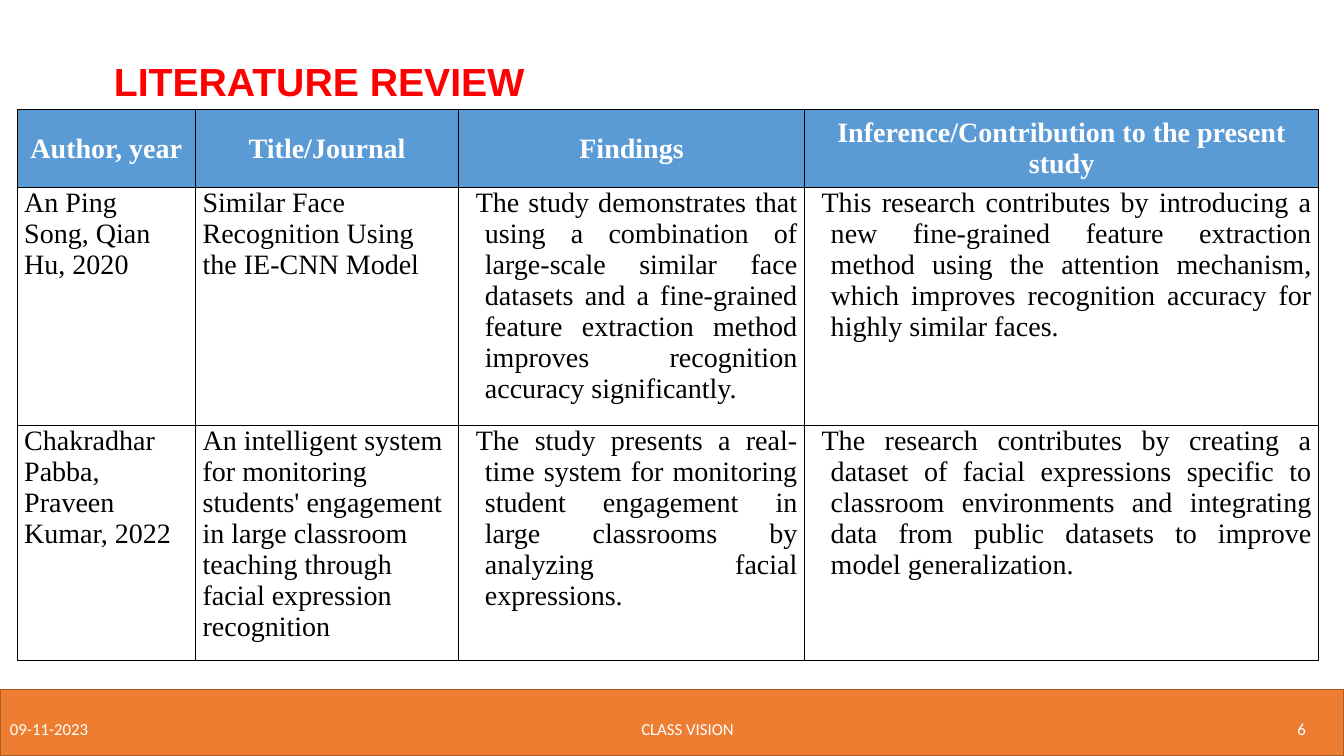
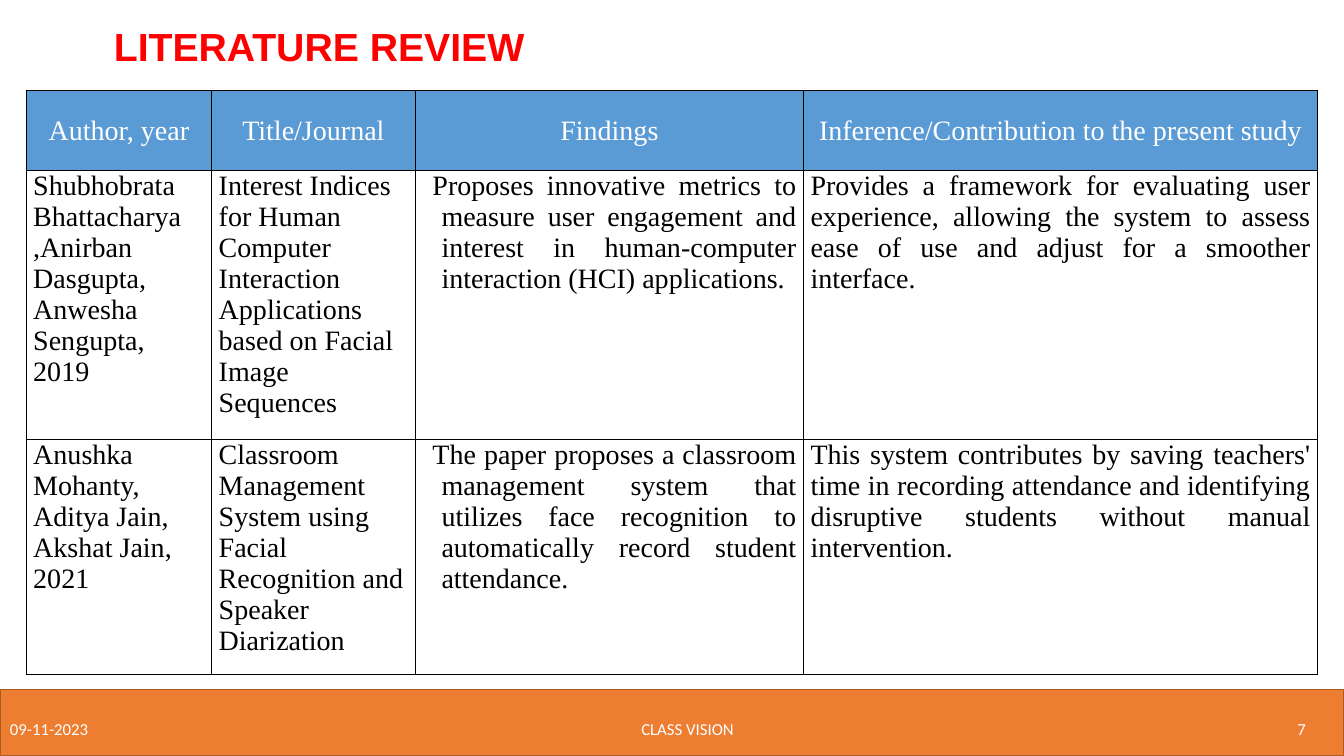
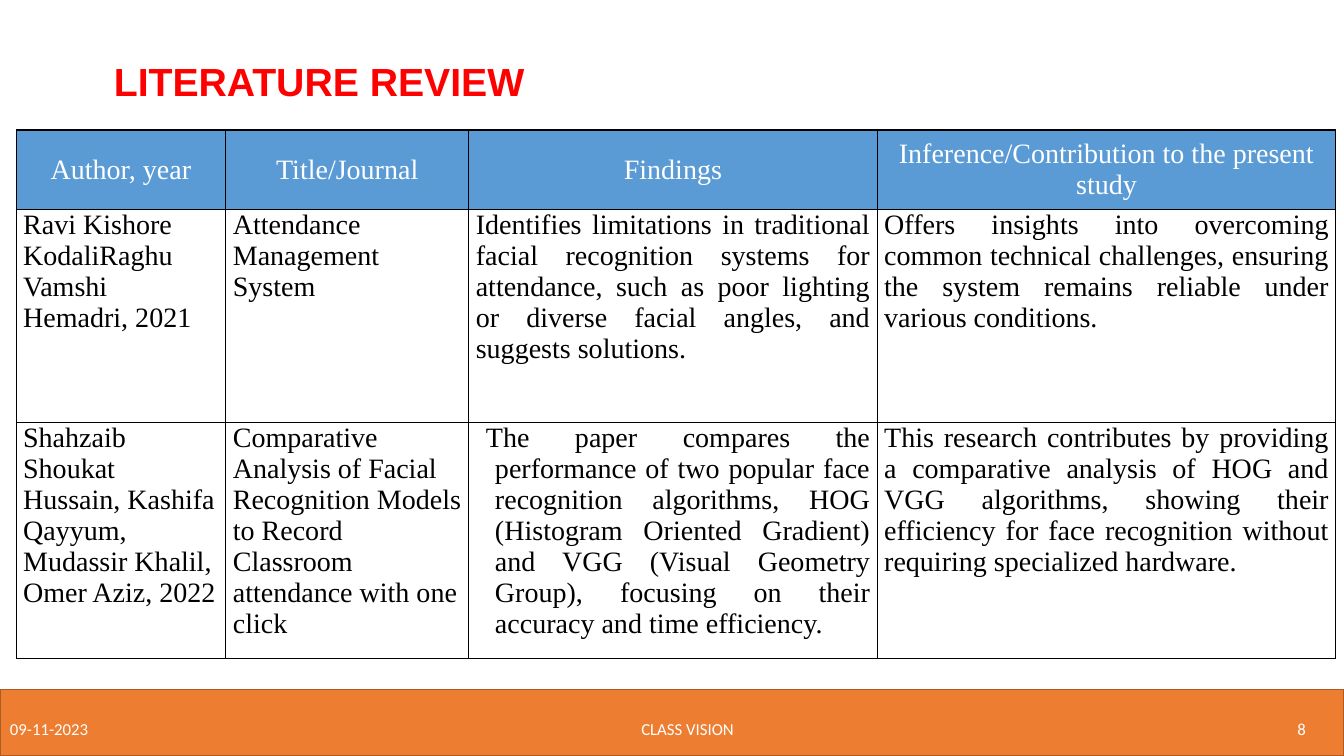
"""Build three literature review slides with tables and a shared footer band."""
from lxml import etree
from pptx import Presentation
from pptx.dml.color import RGBColor
from pptx.enum.shapes import MSO_SHAPE
from pptx.enum.text import MSO_ANCHOR, MSO_AUTO_SIZE, PP_ALIGN
from pptx.oxml.ns import qn
from pptx.util import Inches, Pt

RECT = MSO_SHAPE.RECTANGLE
TOP, MIDDLE = MSO_ANCHOR.TOP, MSO_ANCHOR.MIDDLE
LEFT, CENTER, JUSTIFY = PP_ALIGN.LEFT, PP_ALIGN.CENTER, PP_ALIGN.JUSTIFY
FIT_SHAPE = MSO_AUTO_SIZE.SHAPE_TO_FIT_TEXT

COLORS = {
    "title": "FF0000",
    "band": "ED7D31",
    "band_line": "AC5B23",
    "header": "5B9BD5",
    "border": "000000",
    "text": "000000",
    "light": "FFFFFF",
}
TITLE_FONT, TABLE_FONT, FOOTER_FONT = "Arial", "Times New Roman", "Calibri"
TITLE = "LITERATURE REVIEW"
DATE = "09-11-2023"
PROJECT = "CLASS VISION"
HEADERS = [
    "Author, year",
    "Title/Journal",
    "Findings",
    "Inference/Contribution to the present study",
]
FIRST_NUMBER = 6
FINDINGS, INFERENCE = 2, 3

REVIEWS = [
    {
        "title_top": 0.52,
        "at": (0.17, 1.09),
        "cols": [1.77, 2.61, 3.43, 5.1],
        "rows": [0.77, 2.36, 2.33],
        "bold_header": True,
        "papers": [
            ["An Ping Song, Qian Hu, 2020",
             "Similar Face Recognition Using the IE-CNN Model",
             "The study demonstrates that using a combination of large-scale similar face "
             "datasets and a fine-grained feature extraction method improves recognition "
             "accuracy significantly.",
             "This research contributes by introducing a new fine-grained feature extraction "
             "method using the attention mechanism, which improves recognition accuracy for "
             "highly similar faces."],
            ["Chakradhar Pabba, Praveen Kumar, 2022",
             "An intelligent system for monitoring students' engagement in large classroom "
             "teaching through facial expression recognition",
             "The study presents a real-time system for monitoring student engagement in large "
             "classrooms by analyzing facial expressions.",
             "The research contributes by creating a dataset of facial expressions specific to "
             "classroom environments and integrating data from public datasets to improve "
             "model generalization."],
        ],
        "hanging": [{FINDINGS, INFERENCE}, {FINDINGS, INFERENCE}],
    },
    {
        "title_top": 0.17,
        "at": (0.26, 0.9),
        "cols": [1.84, 2.02, 3.85, 5.1],
        "rows": [0.79, 2.67, 2.33],
        "bold_header": False,
        "papers": [
            ["Shubhobrata Bhattacharya\n,Anirban Dasgupta,\nAnwesha Sengupta, 2019",
             "Interest Indices for Human Computer Interaction\n"
             "Applications based on Facial Image Sequences",
             "Proposes innovative metrics to measure user engagement and interest in "
             "human-computer interaction (HCI) applications.",
             "Provides a framework for evaluating user experience, allowing the system to "
             "assess ease of use and adjust for a smoother interface."],
            ["Anushka Mohanty, Aditya Jain, Akshat Jain, 2021",
             "Classroom Management System using Facial Recognition and Speaker Diarization",
             "The paper proposes a classroom management system that utilizes face recognition "
             "to automatically record student attendance.",
             "This system contributes by saving teachers' time in recording attendance and "
             "identifying disruptive students without manual intervention."],
        ],
        "hanging": [{FINDINGS}, {FINDINGS}],
    },
    {
        "title_top": 0.52,
        "at": (0.16, 1.29),
        "cols": [2.08, 2.41, 4.05, 4.55],
        "rows": [0.79, 2.11, 2.34],
        "bold_header": False,
        "papers": [
            ["Ravi Kishore KodaliRaghu Vamshi Hemadri, 2021",
             "Attendance Management System",
             "Identifies limitations in traditional facial recognition systems for attendance, "
             "such as poor lighting or diverse facial angles, and suggests solutions.",
             "Offers insights into overcoming common technical challenges, ensuring the system "
             "remains reliable under various conditions."],
            ["Shahzaib Shoukat Hussain, Kashifa Qayyum, Mudassir Khalil, Omer Aziz, 2022",
             "Comparative Analysis of Facial Recognition Models to Record Classroom attendance "
             "with one click",
             "The paper compares the performance of two popular face recognition algorithms, "
             "HOG (Histogram Oriented Gradient) and VGG (Visual Geometry Group), focusing on "
             "their accuracy and time efficiency.",
             "This research contributes by providing a comparative analysis of HOG and VGG "
             "algorithms, showing their efficiency for face recognition without requiring "
             "specialized hardware."],
        ],
        "hanging": [set(), {FINDINGS}],
    },
]


def rgb(name):
    """Return the named colour."""
    return RGBColor.from_string(COLORS[name])


def write(tf, text, font, size, color, align=LEFT, bold=False):
    """Fill a text frame and format every paragraph alike."""
    tf.text = text
    tf.word_wrap = True
    for p in tf.paragraphs:
        p.alignment = align
        for r in p.runs:
            r.font.name, r.font.size, r.font.bold = font, Pt(size), bold
            r.font.color.rgb = rgb(color)


def set_margins(box, side, end):
    """Set the inner margins of a text frame or cell."""
    box.margin_left = box.margin_right = Inches(side)
    box.margin_top = box.margin_bottom = Inches(end)


def add_title(s, top):
    """Place and format the title placeholder."""
    sp = s.shapes.title
    sp.left, sp.top, sp.width, sp.height = map(Inches, (1.03, top, 8.45, 0.57))
    tf = sp.text_frame
    write(tf, TITLE, TITLE_FONT, 28, "title", bold=True)
    set_margins(tf, 0.1, 0.05)
    tf.vertical_anchor = TOP
    tf.auto_size = FIT_SHAPE


def add_footer(s, number):
    """Add the band with date, project name and slide number."""
    band = s.shapes.add_shape(RECT, 0, Inches(6.84), Inches(13.33), Inches(0.66))
    band.shadow.inherit = False
    band.fill.solid()
    band.fill.fore_color.rgb = rgb("band")
    band.line.color.rgb = rgb("band_line")
    band.line.width = Pt(1)
    for left, width, text, align in (
        (0, 1.17, DATE, LEFT),
        (1.17, 11.3, PROJECT, CENTER),
        (12.48, 0.86, str(number), CENTER),
    ):
        sp = s.shapes.add_textbox(Inches(left), Inches(7.03), Inches(width), Inches(0.4))
        write(sp.text_frame, text, FOOTER_FONT, 12, "light", align)
        sp.text_frame.vertical_anchor = MIDDLE


def add_borders(cell):
    """Draw a thin line on all four sides of a cell."""
    tcPr = cell._tc.get_or_add_tcPr()
    for side in ("a:lnL", "a:lnR", "a:lnT", "a:lnB"):
        ln = etree.SubElement(tcPr, qn(side), w=str(Pt(1)))
        fill = etree.SubElement(ln, qn("a:solidFill"))
        etree.SubElement(fill, qn("a:srgbClr"), val=COLORS["border"])


def format_header(cell, text, bold):
    """Write a column heading."""
    write(cell.text_frame, text, TABLE_FONT, 20, "light", CENTER, bold)
    set_margins(cell, 0.1, 0.05)
    cell.vertical_anchor = MIDDLE
    cell.fill.solid()
    cell.fill.fore_color.rgb = rgb("header")


def format_body(cell, text, align, hanging):
    """Write a body cell, with a hanging indent if asked."""
    write(cell.text_frame, text, TABLE_FONT, 20, "text", align)
    set_margins(cell, 0.07, 0)
    cell.vertical_anchor = TOP
    cell.fill.background()
    if hanging:
        for p in cell.text_frame.paragraphs:
            pPr = p._p.get_or_add_pPr()
            pPr.set("marL", str(Inches(0.19)))
            pPr.set("indent", str(Inches(-0.09)))


def add_review_table(s, review):
    """Add the table of reviewed papers."""
    cols, rows = review["cols"], review["rows"]
    left, top = review["at"]
    box = map(Inches, (left, top, sum(cols), sum(rows)))
    table = s.shapes.add_table(len(rows), len(cols), *box).table
    table.first_row = table.horz_banding = False
    for col, width in zip(table.columns, cols):
        col.width = Inches(width)
    for row, height in zip(table.rows, rows):
        row.height = Inches(height)
    for cell in table.iter_cells():
        add_borders(cell)
    for j, text in enumerate(HEADERS):
        format_header(table.cell(0, j), text, review["bold_header"])
    for i, (paper, hanging) in enumerate(zip(review["papers"], review["hanging"]), 1):
        for j, text in enumerate(paper):
            align = JUSTIFY if j >= FINDINGS else LEFT
            format_body(table.cell(i, j), text, align, j in hanging)


def main():
    """Build and save the presentation."""
    prs = Presentation()
    prs.slide_width, prs.slide_height = Inches(13.33), Inches(7.5)
    layout = prs.slide_layouts.get_by_name("Title Only")
    for number, review in enumerate(REVIEWS, FIRST_NUMBER):
        s = prs.slides.add_slide(layout)
        add_title(s, review["title_top"])
        add_review_table(s, review)
        add_footer(s, number)
    prs.save("out.pptx")


if __name__ == "__main__":
    main()
